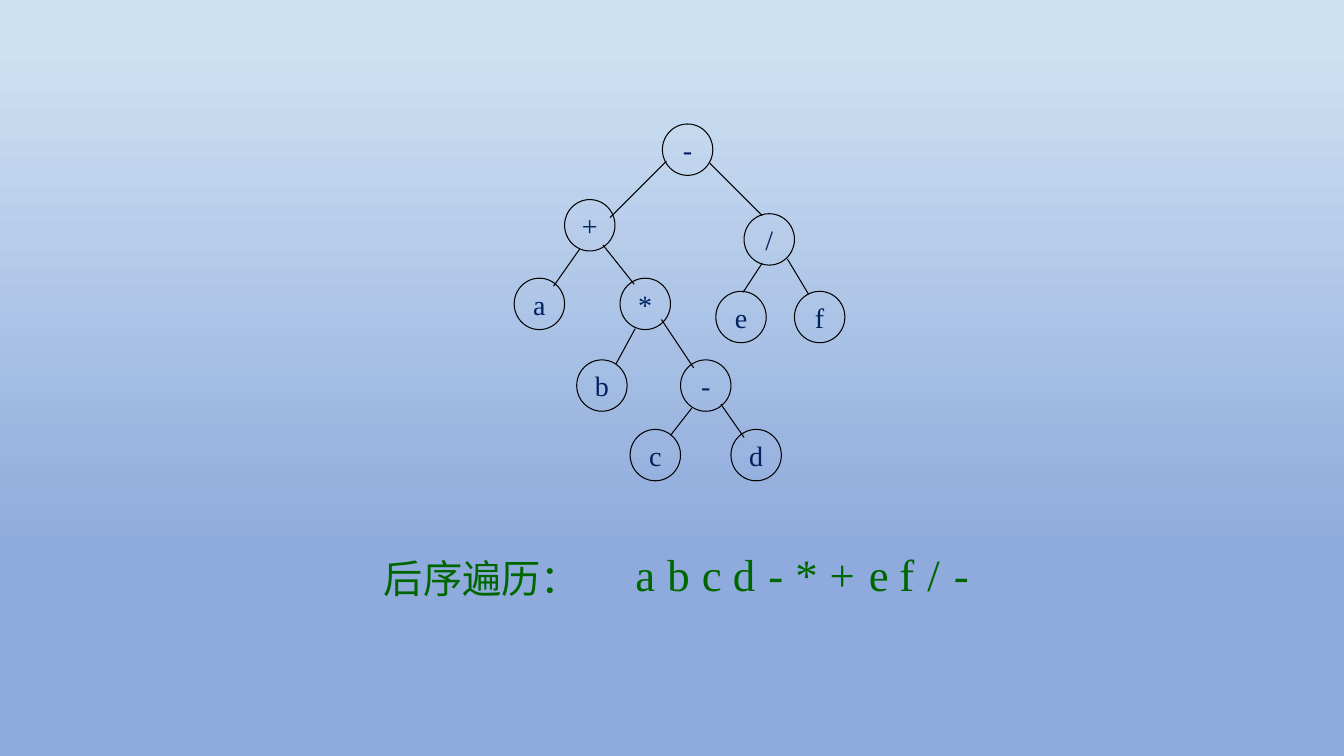
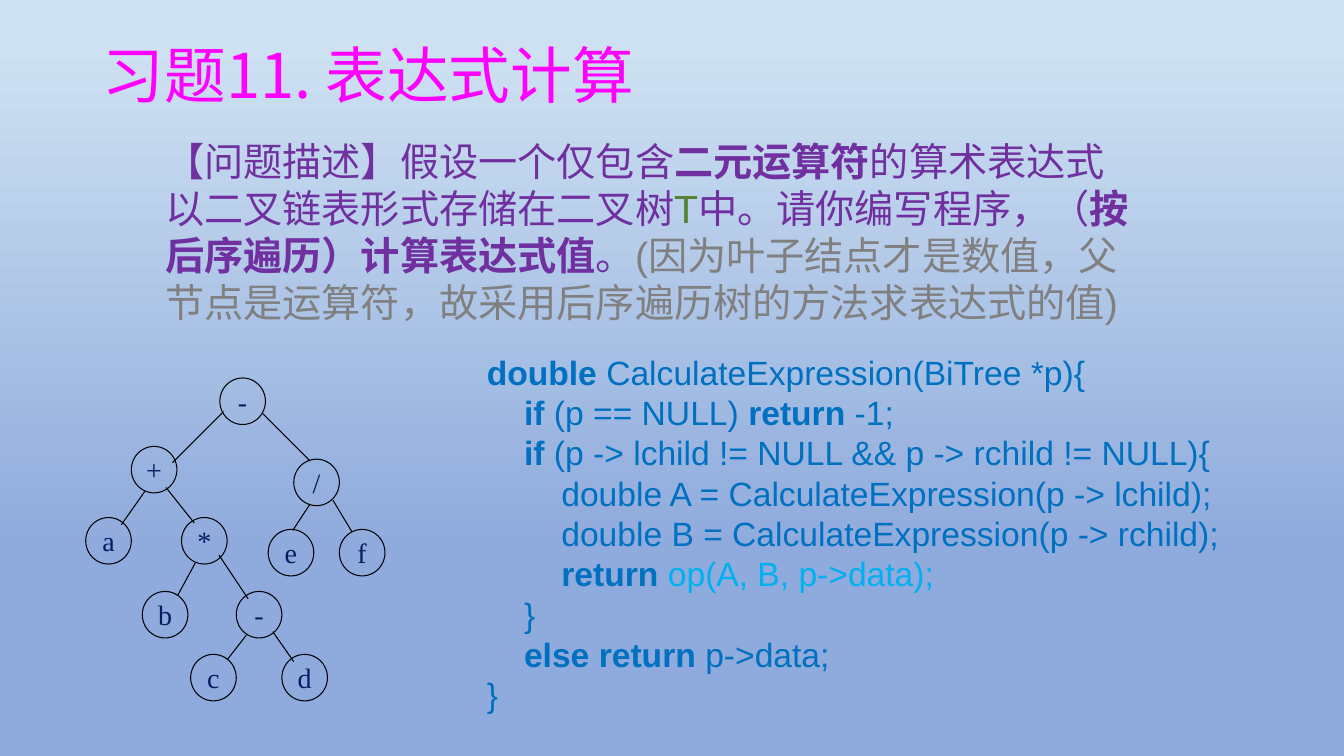
from lxml import etree
from pptx import Presentation
from pptx import util as u
from pptx.dml.color import RGBColor
from pptx.enum import shapes, text
from pptx.oxml.ns import qn

COLORS = {
    "sky": "CEE1F2", "dusk": "8FAADC", "line": "000000", "node": "002060",
    "answer": "006600", "title": "FF00FF", "problem": "7030A0", "tree": "548235",
    "remark": "808080", "code": "0070C0", "call": "00B0F0",
}
SERIF, SANS, CHINESE = "Times New Roman", "Arial", "Noto Sans CJK SC"

NODE_WIDTH, NODE_HEIGHT = 0.5, 0.51
NODES = [
    ("-", 1.47, 0), ("+", 0.5, 0.75), ("/", 2.28, 0.89), ("a", 0, 1.53),
    ("*", 1.05, 1.53), ("e", 2, 1.66), ("f", 2.78, 1.66), ("b", 0.62, 2.34),
    ("-", 1.65, 2.34), ("c", 1.15, 3.03), ("d", 2.15, 3.03),
]
BRANCHES = [
    (1.51, 0.37, 0.95, 0.93), (1.94, 0.39, 2.46, 0.91),
    (0.65, 1.24, 0.39, 1.61), (0.88, 1.2, 1.19, 1.59),
    (2.46, 1.38, 2.27, 1.67), (2.71, 1.34, 2.92, 1.69),
    (1.2, 2.03, 1.01, 2.38), (1.46, 1.94, 1.78, 2.42),
    (1.76, 2.82, 1.55, 3.09), (2.05, 2.78, 2.28, 3.11),
]
POSTORDER = [
    ("-", 9.36, 0.35), ("+", 8.13, 0.45), ("a", 6.2, 0.4), ("*", 7.79, 0.42),
    ("b", 6.52, 0.42), ("-", 7.52, 0.35), ("c", 6.86, 0.4), ("d", 7.17, 0.42),
    ("/", 9.1, 0.32), ("e", 8.52, 0.35), ("f", 8.82, 0.35),
]
BOLD = {"bold": True}
PROBLEM = [[
    ("【问题描述】假设一个仅包含", {}),
    ("二元运算符", BOLD),
    ("的算术表达式以二叉链表形式存储在二叉树", {}),
    ("T", {"color": "tree"}),
    ("中。请你编写程序，（", {}),
    ("按后序遍历）计算表达式值", BOLD),
    ("。", {}),
    ("(因为叶子结点才是数值，父节点是运算符，故采用后序遍历树的方法求表达式的值)",
     {"color": "remark"}),
]]
CODE = [
    [("double ", BOLD), ("CalculateExpression(BiTree *p){", {})],
    [("    if", BOLD), (" (p == NULL) ", {}), ("return", BOLD), (" -1;", {})],
    [("    if ", BOLD), ("(p -> lchild != NULL && p -> rchild != NULL){", {})],
    [("        double A = CalculateExpression(p -> lchild);", {})],
    [("        double B = CalculateExpression(p -> rchild);", {})],
    [("        return ", BOLD), ("op(A, B, p->data);", {"color": "call"})],
    [("    }", {})],
    [("    else return ", BOLD), ("p->data;", {})],
    [("}", {})],
]


def rgb(name):
    return RGBColor.from_string(COLORS[name])


def format_run(run, size, color, font=SERIF, bold=False):
    run.font.size = u.Pt(size)
    run.font.bold = bold
    run.font.color.rgb = rgb(color)
    run.font.name = font
    latin = run.font._element.find(qn("a:latin"))
    east_asian = etree.Element(qn("a:ea"), typeface=CHINESE)
    latin.addnext(east_asian)


def write_text(shape, content, align="LEFT", anchor="TOP", wrap=True, grow=False,
               spacing=None, **style):
    frame = shape.text_frame
    frame.auto_size = text.MSO_AUTO_SIZE.SHAPE_TO_FIT_TEXT if grow else text.MSO_AUTO_SIZE.NONE
    frame.word_wrap = wrap
    frame.vertical_anchor = text.MSO_ANCHOR[anchor]
    paragraphs = [[(content, {})]] if isinstance(content, str) else content
    for index, parts in enumerate(paragraphs):
        paragraph = frame.add_paragraph() if index else frame.paragraphs[0]
        paragraph.alignment = text.PP_ALIGN[align]
        paragraph.line_spacing = spacing
        for words, changes in parts:
            run = paragraph.add_run()
            run.text = words
            format_run(run, **{**style, **changes})


def add_text(slide, left, top, width, height, content, **style):
    box = slide.shapes.add_textbox(*map(u.Inches, (left, top, width, height)))
    write_text(box, content, grow=True, **style)


def set_outline(shape):
    shape.line.color.rgb = rgb("line")
    shape.line.width = u.Pt(0.75)


def add_node(group, symbol, *bounds):
    node = group.shapes.add_shape(shapes.MSO_SHAPE.OVAL, *map(u.Inches, bounds))
    node.shadow.inherit = False
    node.fill.background()
    set_outline(node)
    write_text(node, symbol, align="CENTER", anchor="MIDDLE", wrap=False,
               size=20, color="node")


def add_branch(group, *ends):
    branch = group.shapes.add_connector(
        shapes.MSO_CONNECTOR.STRAIGHT, *map(u.Inches, ends))
    set_outline(branch)
    etree.SubElement(branch._element.spPr, qn("a:effectLst"))


def add_tree(slide, left, top, scale=1):
    group = slide.shapes.add_group_shape()
    for symbol, x, y in NODES:
        add_node(group, symbol, left + x * scale, top + y * scale,
                 NODE_WIDTH * scale, NODE_HEIGHT * scale)
    for x1, y1, x2, y2 in BRANCHES:
        add_branch(group, left + x1 * scale, top + y1 * scale,
                   left + x2 * scale, top + y2 * scale)


def set_background(master):
    fill = master.background.fill
    fill.gradient()
    fill.gradient_angle = 270
    for stop, (position, color) in zip(fill.gradient_stops, [(0.06, "sky"), (0.73, "dusk")]):
        stop.position = position
        stop.color.rgb = rgb(color)


def add_title(slide, content):
    title = slide.shapes.title
    title.left, title.top, title.width, title.height = map(u.Inches, (0.92, 0.4, 11.5, 1.45))
    write_text(title, content, spacing=0.9, size=44, color="title", font=CHINESE)


def build_traversal(presentation):
    slide = presentation.slides.add_slide(presentation.slide_layouts[6])
    add_tree(slide, 5.1, 1.23)
    add_text(slide, 3.71, 5.45, 2.15, 0.57, "后序遍历：", anchor="MIDDLE", wrap=False,
             size=28, color="answer")
    for symbol, left, width in POSTORDER:
        add_text(slide, left, 5.38, width, 0.63, symbol, align="CENTER",
                 anchor="MIDDLE", wrap=False, size=32, color="answer")


def build_exercise(presentation):
    slide = presentation.slides.add_slide(presentation.slide_layouts[5])
    add_tree(slide, 0.85, 3.75, scale=0.905)
    add_title(slide, "习题11. 表达式计算")
    add_text(slide, 1.54, 1.31, 9.87, 1.99, PROBLEM, size=28, color="problem", font=SANS)
    add_text(slide, 4.73, 3.44, 7.67, 3.74, CODE, size=24, color="code", font=SANS)


def main():
    presentation = Presentation()
    presentation.slide_width = u.Inches(13.33)
    presentation.slide_height = u.Inches(7.5)
    set_background(presentation.slide_master)
    build_traversal(presentation)
    build_exercise(presentation)
    presentation.save("out.pptx")


if __name__ == "__main__":
    main()
